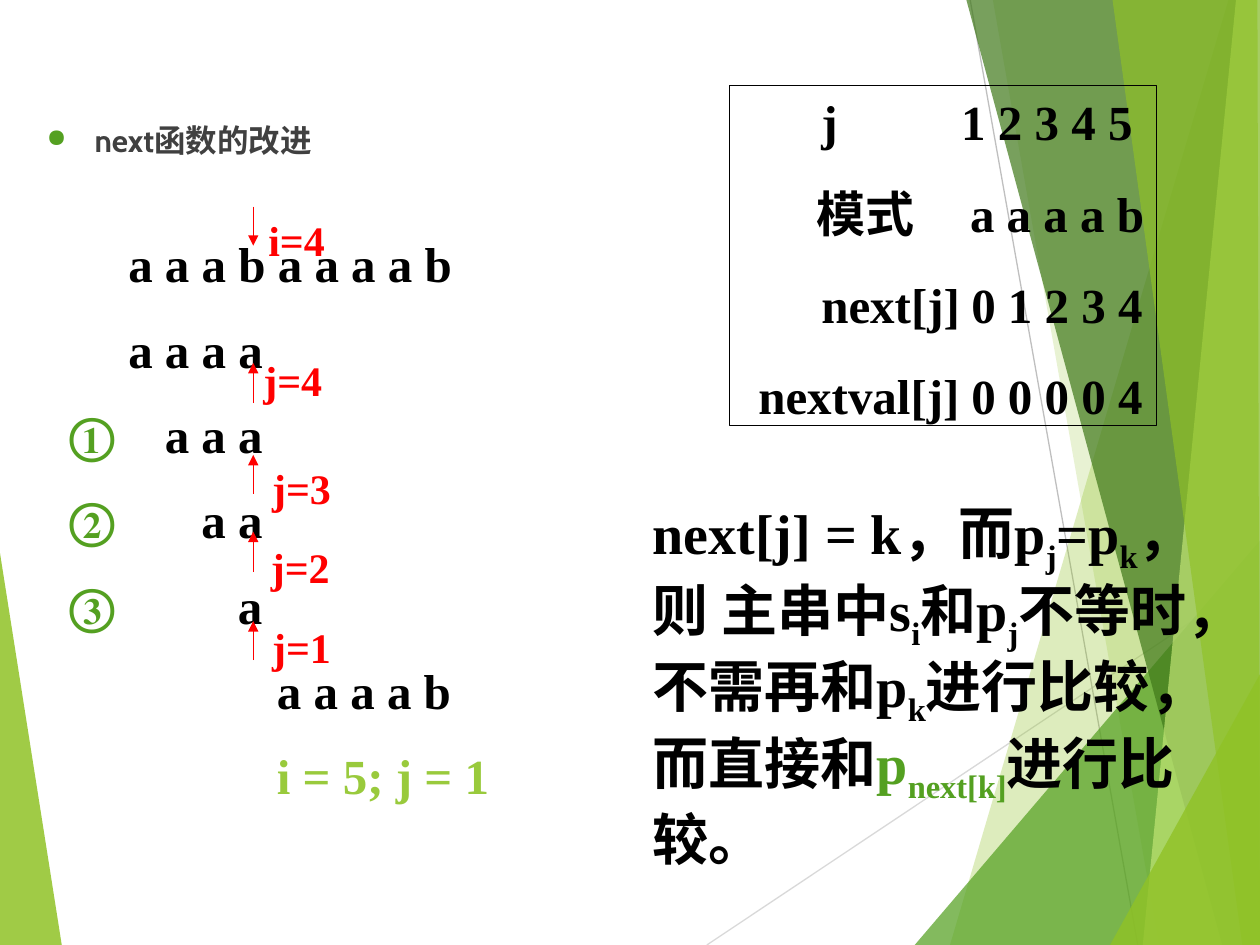
from dataclasses import dataclass

from lxml.etree import SubElement
from pptx import Presentation
from pptx.dml.color import RGBColor
from pptx.enum.shapes import MSO_CONNECTOR, MSO_SHAPE
from pptx.enum.text import MSO_ANCHOR, MSO_AUTO_SIZE, PP_ALIGN
from pptx.oxml.ns import qn
from pptx.util import Inches, Pt


@dataclass(frozen=True)
class Theme:
    text: str = "000000"
    heading: str = "404040"
    accent: str = "54A021"
    result: str = "99CA3C"
    pointer: str = "FF0000"
    leaf: str = "90C226"
    forest: str = "3F7819"
    lime: str = "C0E474"
    pale_line: str = "D9D9D9"
    grey_line: str = "BFBFBF"
    heading_font: str = "Cabin"
    body_font: str = "Times New Roman"
    heading_size: int = 18
    pointer_size: int = 24
    row_size: int = 28
    rule_size: int = 32
    row_gap: float = 18.5
    line_width: float = 0.75


class SlideBuilder:
    """Holds the theme and the slide; lengths are columns and rows of a 10 x 7.5 grid."""

    def __init__(self, deck, theme):
        self.theme = theme
        self.slide = deck.slides.add_slide(deck.slide_layouts[5])
        self.cell_width = deck.slide_width / 10
        self.cell_height = deck.slide_height / 7.5

    def x(self, columns):
        return round(columns * self.cell_width)

    def y(self, rows):
        return round(rows * self.cell_height)

    def area(self, left, top, width, height):
        return self.x(left), self.y(top), self.x(width), self.y(height)

    def format_run(self, run, size, color, font=None):
        run.font.name = font or self.theme.body_font
        run.font.size = Pt(size)
        run.font.bold = True
        run.font.color.rgb = RGBColor.from_string(color)

    def hang(self, paragraph, text_column, first_column):
        properties = paragraph._p.get_or_add_pPr()
        properties.set("marL", str(self.x(text_column)))
        properties.set("indent", str(self.x(first_column - text_column)))
        return properties

    def set_frame(self, frame, insets=(0.1, 0.05, 0.1, 0.05)):
        frame.word_wrap = True
        frame.auto_size = MSO_AUTO_SIZE.NONE
        frame.vertical_anchor = MSO_ANCHOR.TOP
        (frame.margin_left, frame.margin_top,
         frame.margin_right, frame.margin_bottom) = map(Inches, insets)
        return frame

    def facet(self, points, color, opacity):
        corners = [(self.x(column), self.y(row)) for column, row in points]
        builder = self.slide.shapes.build_freeform(*corners[0])
        builder.add_line_segments(corners[1:], close=True)
        shape = builder.convert_to_shape()
        shape.shadow.inherit = False
        shape.fill.solid()
        shape.fill.fore_color.rgb = RGBColor.from_string(color)
        shape.line.fill.background()
        color_node = shape._element.spPr.find(qn("a:solidFill"))[0]
        SubElement(color_node, qn("a:alpha"), val=str(opacity * 1000))

    def line(self, start, end, color, arrow=False):
        connector = self.slide.shapes.add_connector(
            MSO_CONNECTOR.STRAIGHT, self.x(start[0]), self.y(start[1]),
            self.x(end[0]), self.y(end[1]))
        connector.line.color.rgb = RGBColor.from_string(color)
        connector.line.width = Pt(self.theme.line_width)
        properties = connector._element.spPr
        if arrow:
            SubElement(properties.find(qn("a:ln")), qn("a:tailEnd"), type="triangle")
        SubElement(properties, qn("a:effectLst"))

    def heading(self, text, box):
        title = self.slide.shapes.title
        title.left, title.top, title.width, title.height = self.area(*box)
        frame = self.set_frame(title.text_frame)
        frame.text = text
        paragraph = frame.paragraphs[0]
        paragraph.alignment = PP_ALIGN.LEFT
        properties = self.hang(paragraph, 0.38, 0)
        bullet_color = SubElement(properties, qn("a:buClr"))
        SubElement(bullet_color, qn("a:srgbClr"), val=self.theme.accent)
        SubElement(properties, qn("a:buSzPct"), val="80000")
        SubElement(properties, qn("a:buChar"), char="●")
        self.format_run(paragraph.runs[0], self.theme.heading_size,
                        self.theme.heading, self.theme.heading_font)

    def text_box(self, box, **frame_options):
        shape = self.slide.shapes.add_textbox(*self.area(*box))
        return self.set_frame(shape.text_frame, **frame_options)

    def outlined_box(self, box, **frame_options):
        shape = self.slide.shapes.add_shape(MSO_SHAPE.RECTANGLE, *self.area(*box))
        shape.shadow.inherit = False
        shape.fill.background()
        shape.line.color.rgb = RGBColor.from_string(self.theme.text)
        shape.line.width = Pt(self.theme.line_width)
        return self.set_frame(shape.text_frame, **frame_options)

    def rows(self, frame, rows, line_spacing=1.0):
        """Each row: first column, text column, parts as (text, color)."""
        for index, (first, column, parts) in enumerate(rows):
            paragraph = frame.paragraphs[0] if index == 0 else frame.add_paragraph()
            paragraph.alignment = PP_ALIGN.LEFT
            paragraph.line_spacing = line_spacing
            paragraph.space_before = Pt(self.theme.row_gap if index else 0)
            self.hang(paragraph, column, first)
            for text, color in parts:
                run = paragraph.add_run()
                run.text = text
                self.format_run(run, self.theme.row_size, color)

    def pointer(self, label, left, top, start, end):
        self.line((2.01, start), (2.01, end), self.theme.pointer, arrow=True)
        frame = self.text_box((left, top, 0.5, 0.4), insets=(0, 0, 0, 0))
        frame.word_wrap = False
        frame.text = label
        self.format_run(frame.paragraphs[0].runs[0], self.theme.pointer_size,
                        self.theme.pointer)

    def rule(self, box, parts):
        """Each part: text, color, whether it is a subscript."""
        paragraph = self.text_box(box).paragraphs[0]
        for text, color, subscript in parts:
            run = paragraph.add_run()
            run.text = text
            self.format_run(run, self.theme.rule_size, color)
            if subscript:
                run._r.get_or_add_rPr().set("baseline", "-25000")


def main():
    deck = Presentation()
    deck.slide_width, deck.slide_height = Inches(10), Inches(7.5)
    theme = Theme()
    page = SlideBuilder(deck, theme)

    # Background facets
    page.facet([(0, 4.39), (0.49, 7.5), (0, 7.5)], theme.leaf, 85)
    page.line((5.61, 7.5), (10, 4.57), theme.pale_line)
    page.line((7.7, 0), (9.03, 7.5), theme.grey_line)
    for points, color, opacity in [
        ([(9.75, 0), (7.54, 7.5), (10, 7.5), (10, 0)], theme.leaf, 30),
        ([(7.88, 0), (9.2, 7.5), (10, 7.5), (10, 0)], theme.leaf, 20),
        ([(7.26, 7.5), (10, 4.29), (10, 7.5)], theme.accent, 72),
        ([(7.67, 0), (9.7, 7.5), (10, 7.5), (10, 0)], theme.forest, 70),
        ([(9.81, 0), (9.07, 7.5), (10, 7.5), (10, 0)], theme.lime, 70),
        ([(8.83, 0), (9.86, 7.5), (10, 7.5), (9.98, 0)], theme.leaf, 65),
        ([(8.81, 7.5), (10, 5.35), (10, 7.5)], theme.leaf, 80),
    ]:
        page.facet(points, color, opacity)

    # Heading
    page.heading("next函数的改进", (0.27, 0.91, 8.5, 0.71))

    # Pattern values
    values = page.outlined_box((5.79, 0.68, 3.39, 2.7), insets=(0.1, 0.05, 0, 0.05))
    page.rows(values, [(first, column, [(f"{label}\t{numbers}", theme.text)])
                       for label, numbers, first, column in [
                           ("j", "1 2 3 4 5", 0.63, 1.74),
                           ("模式", "a a a a b", 0.59, 1.81),
                           ("next[j]", "0 1 2 3 4", 0.63, 1.82),
                           ("nextval[j]", "0 0 0 0 4", 0.13, 1.82)]])

    # Matching steps: each shift moves the pattern one letter to the right
    margin, letter = 0.57, 0.29
    steps = [(margin, margin, [(text, theme.text)])
             for text in ("a a a b a a a a b", "a a a a")]
    for shift, (mark, text) in enumerate(
            [("①", "a a a"), ("②", "a a"), ("③", "a")], start=1):
        steps.append((0.1, margin + shift * letter,
                      [(f"{mark}\t", theme.accent), (text, theme.text)]))
    restart = margin + 4 * letter + 0.02
    for text, color in [("a a a a b", theme.text), ("i = 5; j = 1", theme.result)]:
        steps.append((restart, restart, [(text, color)]))
    page.rows(page.text_box((0.35, 1.86, 3.7, 4.5)), steps, line_spacing=0.9)

    # Pointers
    for label, left, top, start, end in [
        ("i=4", 2.13, 1.7, 1.64, 1.95),
        ("j=4", 2.09, 2.81, 3.2, 2.88),
        ("j=3", 2.16, 3.67, 3.92, 3.61),
        ("j=2", 2.15, 4.3, 4.54, 4.22),
        ("j=1", 2.16, 4.93, 5.24, 4.93),
    ]:
        page.pointer(label, left, top, start, end)

    # Improvement rule: plain text and subscripts alternate
    black = ["next[j] = k，而p", "j", "=p", "k", "，则 主串中s", "i", "和p", "j",
             "不等时，不需再和p", "k", "进行比较，而直接和"]
    parts = [(text, theme.text, index % 2 == 1) for index, text in enumerate(black)]
    parts += [("p", theme.accent, False), ("next[k]", theme.accent, True),
              ("进行比较。", theme.text, False)]
    page.rule((5.08, 3.91, 4.72, 2.99), parts)

    deck.save("out.pptx")


if __name__ == "__main__":
    main()
